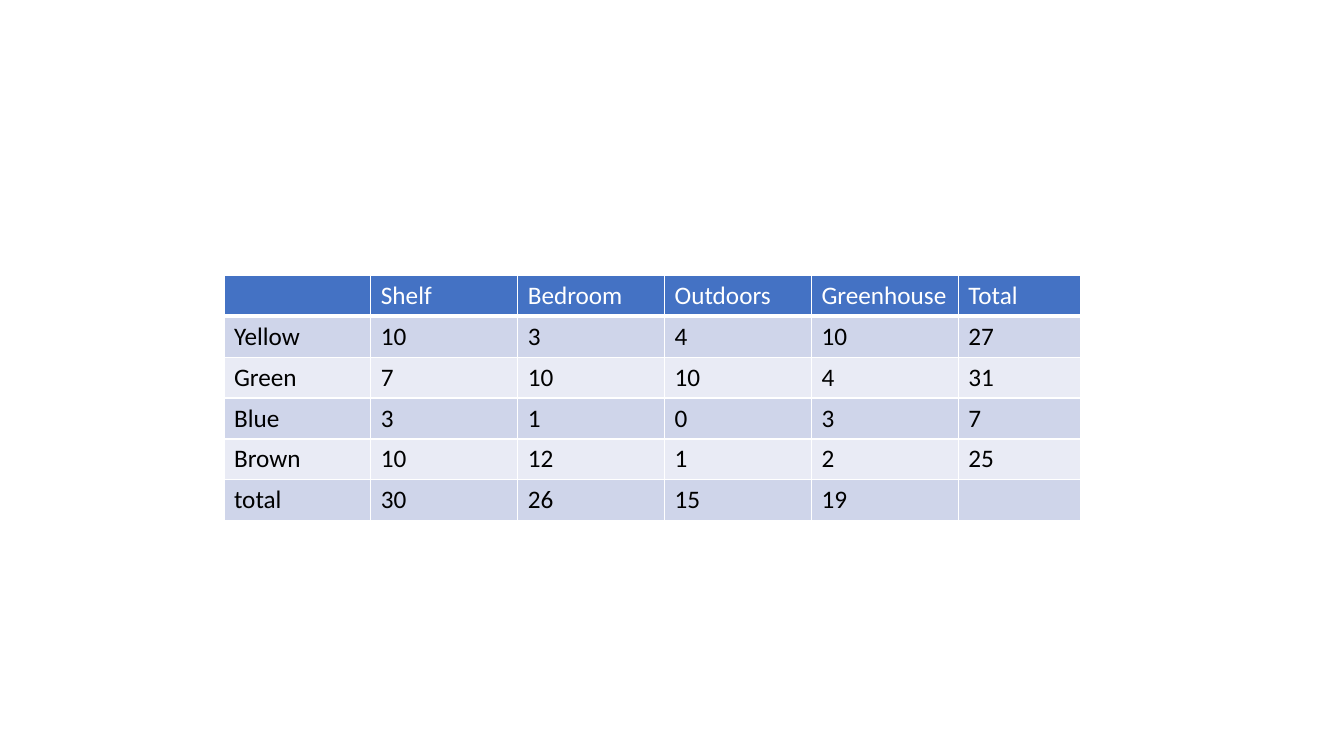
from pptx import Presentation
from pptx.dml.color import RGBColor as RGB
from pptx.oxml import parse_xml
from pptx.oxml.ns import nsdecls
from pptx.util import Inches, Pt

WHITE = RGB(0xFF, 0xFF, 0xFF)
BLACK = RGB(0x00, 0x00, 0x00)
BLUE = RGB(0x44, 0x72, 0xC4)
DARK = RGB(0xCF, 0xD5, 0xEA)
LIGHT = RGB(0xE9, 0xEB, 0xF5)

WIDTH, HEIGHT = Inches(13.33), Inches(7.5)
COL, ROW = WIDTH / 12, HEIGHT / 18.5  # slide grid
SHARES = [6, 6, 6, 6, 6, 5]  # relative column widths
COUNTS = [
    ["", "Shelf", "Bedroom", "Outdoors", "Greenhouse", "Total"],
    ["Yellow", 10, 3, 4, 10, 27],
    ["Green", 7, 10, 10, 4, 31],
    ["Blue", 3, 1, 0, 3, 7],
    ["Brown", 10, 12, 1, 2, 25],
    ["total", 30, 26, 15, 19, ""],
]


def add_edges(cell, base):
    """Draw white cell borders, with the bottom one base points wide."""
    props = cell._tc.get_or_add_tcPr()
    for side, size in zip("LRTB", (1, 1, 1, base)):
        props.append(parse_xml(
            f'<a:ln{side} {nsdecls("a")} w="{Pt(size)}"><a:solidFill>'
            f'<a:srgbClr val="{WHITE}"/></a:solidFill></a:ln{side}>'))


def fill_cell(cell, value, fill, ink, base):
    """Write one value and style its cell."""
    add_edges(cell, base)
    cell.fill.solid()
    cell.fill.fore_color.rgb = fill
    cell.text_frame.text = str(value)
    for run in cell.text_frame.paragraphs[0].runs:
        font = run.font
        font.name, font.size, font.bold = "Calibri", Pt(18), False
        font.color.rgb = ink


def add_counts(slide, left, top, width, height):
    """Place the table of counts in the given box."""
    box = [round(size) for size in (left, top, width, height)]
    table = slide.shapes.add_table(len(COUNTS), len(SHARES), *box).table
    for column, share in zip(table.columns, SHARES):
        column.width = round(width * share / sum(SHARES))
    for i, values in enumerate(COUNTS):
        table.rows[i].height = round(height / len(COUNTS))
        if i == 0:
            style = BLUE, WHITE, 3
        else:
            style = (DARK if i % 2 else LIGHT), BLACK, 1
        for j, value in enumerate(values):
            fill_cell(table.cell(i, j), value, *style)


deck = Presentation()
deck.slide_width, deck.slide_height = WIDTH, HEIGHT
page = deck.slides.add_slide(deck.slide_layouts[6])
add_counts(page, 2 * COL, 6.74 * ROW, 7.65 * COL, 6 * ROW)
deck.save("out.pptx")
